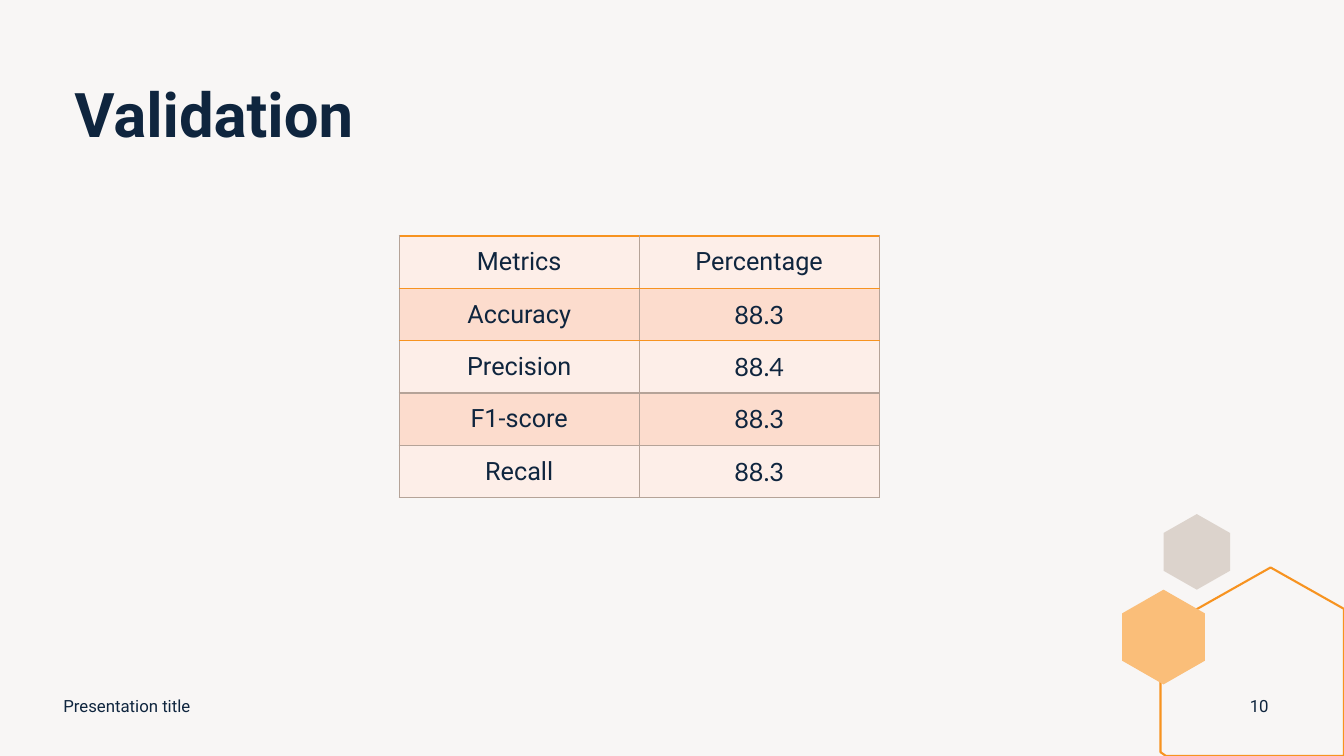
from lxml import etree
from pptx import Presentation
from pptx.dml.color import RGBColor
from pptx.enum.text import MSO_ANCHOR as ANCHOR, PP_ALIGN as ALIGN
from pptx.oxml.ns import qn
from pptx.util import Inches, Pt

NAVY, ORANGE, AMBER, STONE = "0F253E", "F79320", "FABE79", "DCD3CC"
PAPER, RULE, LIGHT_ROW, DARK_ROW = "F8F6F5", "B5A398", "FDEEE8", "FCDCCD"
HEXAGON = [(0.5, 0), (1, 0.25), (1, 0.75), (0.5, 1), (0, 0.75), (0, 0.25)]
CUT_HEXAGON = [(0.6, 0), (1, 0.22), (1, 1), (0.03, 1), (0, 0.98), (0, 0.33)]
METRICS = [
    ("Metrics", "Percentage"),
    ("Accuracy", "88.3"),
    ("Precision", "88.4"),
    ("F1-score", "88.3"),
    ("Recall", "88.3"),
]


def rgb(value):
    return RGBColor.from_string(value)


def write(tf, text, size, font="Roboto", bold=False, align=ALIGN.LEFT, spacing=1.0):
    p = tf.paragraphs[0]
    p.alignment = align
    p.line_spacing = spacing
    r = p.add_run()
    r.text = text
    for name, value in {"size": Pt(size), "name": font, "bold": bold}.items():
        setattr(r.font, name, value)
    r.font.color.rgb = rgb(NAVY)


def add_text(s, box, text, size, anchor=ANCHOR.MIDDLE, **style):
    tf = s.shapes.add_textbox(*map(Inches, box)).text_frame
    tf.word_wrap = True
    tf.vertical_anchor = anchor
    write(tf, text, size, **style)


def add_outline(s, box, corners, fill=None, line=None):
    x, y, w, h = box
    points = [(Inches(x + w * u), Inches(y + h * v)) for u, v in corners]
    builder = s.shapes.build_freeform(*points[0])
    builder.add_line_segments(points[1:], close=True)
    sp = builder.convert_to_shape()
    sp.shadow.inherit = False
    if fill:
        sp.fill.solid()
        sp.fill.fore_color.rgb = rgb(fill)
    else:
        sp.fill.background()
    if line:
        sp.line.color.rgb = rgb(line)
        sp.line.width = Pt(1.5)
    else:
        sp.line.fill.background()


def add_honeycomb(s, box):
    x, y, w, h = box
    add_outline(s, (x + 0.41, y, 0.66, 0.75), HEXAGON, fill=STONE)
    add_outline(s, (x + 0.38, y + 0.53, w - 0.38, h - 0.53), CUT_HEXAGON, line=ORANGE)
    add_outline(s, (x, y + 0.75, 0.82, 0.94), HEXAGON, fill=AMBER)


def set_borders(cell, borders):
    tc_pr = cell._tc.get_or_add_tcPr()
    for i, (side, (color, width)) in enumerate(borders.items()):
        ln = etree.Element(qn(f"a:ln{side}"), w=str(Pt(width)))
        fill = etree.SubElement(ln, qn("a:solidFill"))
        etree.SubElement(fill, qn("a:srgbClr"), val=color)
        tc_pr.insert(i, ln)


def add_metrics(s, box):
    rows, cols = len(METRICS), len(METRICS[0])
    table = s.shapes.add_table(rows, cols, *map(Inches, box)).table
    for col in table.columns:
        col.width = Inches(box[2] / cols)
    rules = [(ORANGE, 1.5), (ORANGE, 1), (ORANGE, 1)] + [(RULE, 1)] * (rows - 2)
    for i, values in enumerate(METRICS):
        table.rows[i].height = Inches(box[3] / rows)
        for j, text in enumerate(values):
            cell = table.cell(i, j)
            cell.fill.solid()
            cell.fill.fore_color.rgb = rgb(DARK_ROW if i % 2 else LIGHT_ROW)
            cell.vertical_anchor = ANCHOR.MIDDLE
            font = "Lato" if i and j else "Roboto"
            write(cell.text_frame, text, 18, font=font, align=ALIGN.CENTER)
            side = (RULE, 1)
            set_borders(cell, {"L": side, "R": side, "T": rules[i], "B": rules[i + 1]})


def add_footer(s, box):
    x, y, w, h = box
    add_text(s, (x, y, 4.5, h), "Presentation title", 12)
    add_text(s, (x + w - 0.5, y, 0.5, h), "10", 12, align=ALIGN.CENTER)


def main():
    prs = Presentation()
    prs.slide_width, prs.slide_height = Inches(13.33), Inches(7.5)
    s = prs.slides.add_slide(prs.slide_layouts[6])
    s.background.fill.solid()
    s.background.fill.fore_color.rgb = rgb(PAPER)
    add_honeycomb(s, (11.13, 5.1, 2.2, 2.4))
    add_text(s, (0.64, 0.79, 11.91, 1.55), "Validation", 44,
             anchor=ANCHOR.TOP, bold=True, spacing=0.9)
    add_metrics(s, (3.96, 2.34, 4.76, 2.6))
    add_footer(s, (0.53, 6.8, 12.21, 0.4))
    prs.save("out.pptx")


if __name__ == "__main__":
    main()
